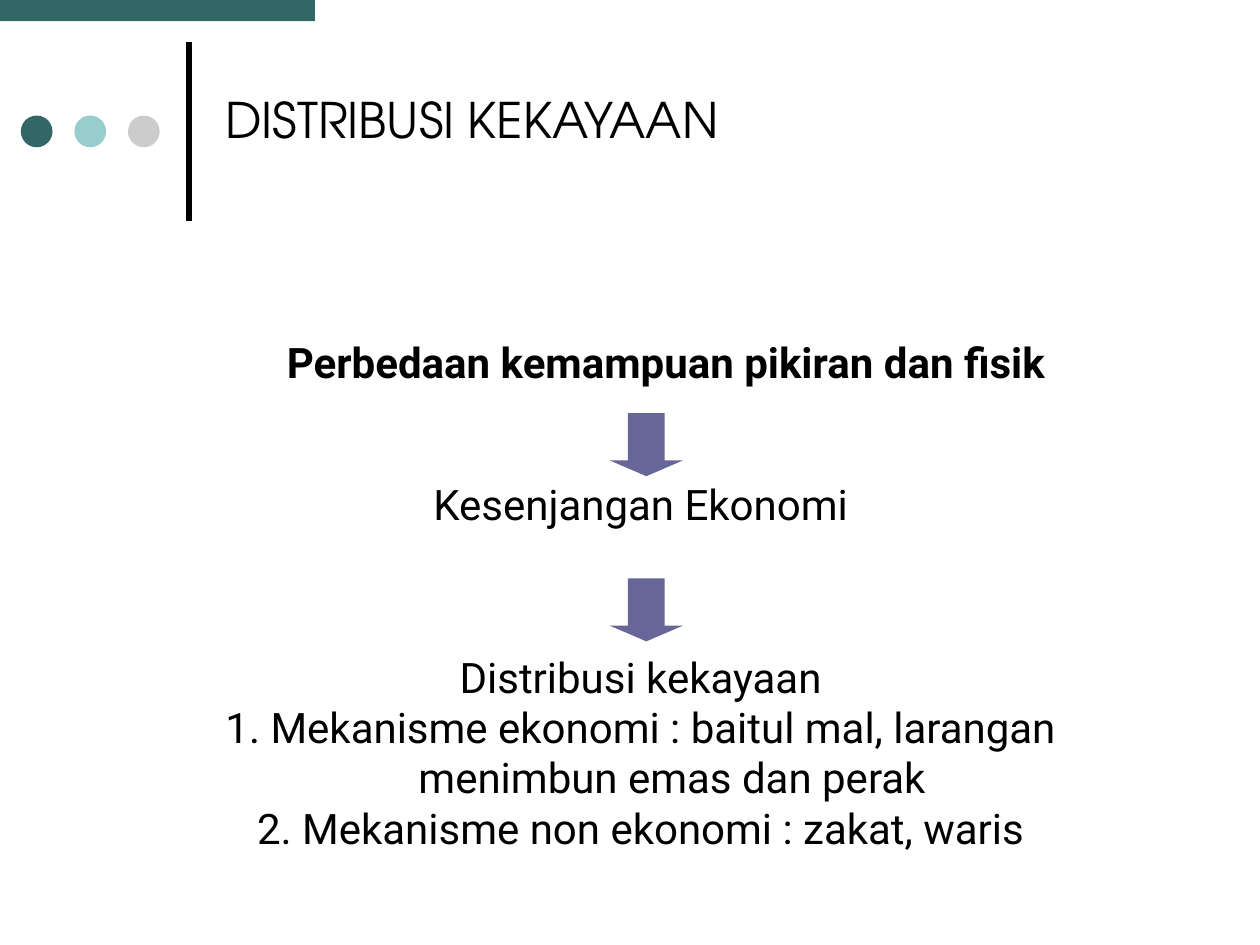
from lxml import etree
from pptx import Presentation
from pptx.dml.color import RGBColor
from pptx.enum.shapes import MSO_CONNECTOR, MSO_SHAPE
from pptx.enum.text import MSO_ANCHOR, MSO_AUTO_SIZE, PP_ALIGN
from pptx.oxml.ns import qn
from pptx.util import Cm, Pt

STRAIGHT = MSO_CONNECTOR.STRAIGHT
DOT, BAR, DOWN_ARROW = MSO_SHAPE.OVAL, MSO_SHAPE.RECTANGLE, MSO_SHAPE.DOWN_ARROW
TOP, NO_FIT = MSO_ANCHOR.TOP, MSO_AUTO_SIZE.NONE
LEFT, CENTER = PP_ALIGN.LEFT, PP_ALIGN.CENTER

COLORS = {
    "text": "000000",
    "teal": "336666",
    "aqua": "99CCCC",
    "grey": "CCCCCC",
    "violet": "666699",
}
TITLE_FORMAT = {"name": "TeX Gyre Adventor", "size": Pt(28), "bold": False}
BODY_FORMAT = {"name": "Roboto", "size": Pt(24), "bold": False}
CAUSE_FORMAT = {**BODY_FORMAT, "bold": True}

# Boxes are left, top, width, height in cm.
TITLE = "DISTRIBUSI KEKAYAAN"
TITLE_BOX = (4.29, 1.68, 12.7, 1.45)
STEPS = [
    (["Perbedaan kemampuan pikiran dan fisik"],
     (4.75, 6.65, 17.35, 2.29), CAUSE_FORMAT, 0),
    (["Kesenjangan Ekonomi"],
     (4.24, 9.53, 17.35, 1.27), BODY_FORMAT, 0),
    (["Distribusi kekayaan",
      "1. Mekanisme ekonomi : baitul mal, larangan menimbun emas dan perak",
      "2. Mekanisme non ekonomi : zakat, waris"],
     (4.24, 13, 17.35, 4.32), BODY_FORMAT, 1.27),
]
ARROW_TOPS = [8.33, 11.66]
DOT_COLORS = ["teal", "aqua", "grey"]
DOT_LEFT, DOT_TOP, DOT_SIZE, DOT_PITCH = 0.42, 2.33, 0.64, 1.08
RULE_X, RULE_TOP, RULE_BOTTOM = 3.81, 0.85, 4.45


def color(key):
    return RGBColor.from_string(COLORS[key])


def add_plain_shape(slide, kind, box, fill):
    shape = slide.shapes.add_shape(kind, *map(Cm, box))
    shape.shadow.inherit = False
    shape.fill.solid()
    shape.fill.fore_color.rgb = color(fill)
    shape.line.fill.background()
    return shape


def write(holder, lines, font_format, align, hanging=0):
    """Fill a text holder, one paragraph a line, with a hanging indent in cm."""
    frame = holder.text_frame
    frame.word_wrap = True
    frame.auto_size = NO_FIT
    frame.vertical_anchor = TOP
    frame.text = "\n".join(lines)
    for paragraph in frame.paragraphs:
        paragraph.alignment = align
        if hanging:
            properties = paragraph._p.get_or_add_pPr()
            properties.set("marL", str(Cm(hanging)))
            properties.set("indent", str(-Cm(hanging)))
        for attribute, value in font_format.items():
            setattr(paragraph.font, attribute, value)
        paragraph.font.color.rgb = color("text")


def add_decoration(slide):
    rule = slide.shapes.add_connector(
        STRAIGHT, Cm(RULE_X), Cm(RULE_BOTTOM), Cm(RULE_X), Cm(RULE_TOP))
    rule.line.color.rgb = color("text")
    rule.line.width = Pt(3)
    etree.SubElement(rule._element.spPr, qn("a:effectLst"))
    for index, fill in enumerate(DOT_COLORS):
        left = DOT_LEFT + index * DOT_PITCH
        add_plain_shape(slide, DOT, (left, DOT_TOP, DOT_SIZE, DOT_SIZE), fill)
    add_plain_shape(slide, BAR, (0, 0, 6.35, 0.43), "teal")


def main():
    presentation = Presentation()
    presentation.slide_width, presentation.slide_height = Cm(25.4), Cm(19.05)
    slide = presentation.slides.add_slide(presentation.slide_layouts[5])

    add_decoration(slide)
    title = slide.shapes.title
    title.left, title.top, title.width, title.height = map(Cm, TITLE_BOX)
    write(title, [TITLE], TITLE_FORMAT, LEFT)

    for lines, box, font_format, hanging in STEPS:
        step = slide.shapes.add_textbox(*map(Cm, box))
        write(step, lines, font_format, CENTER, hanging)
    for top in ARROW_TOPS:
        arrow = add_plain_shape(
            slide, DOWN_ARROW, (12.29, top, 1.48, 1.27), "violet")
        arrow.adjustments[0], arrow.adjustments[1] = 0.5, 0.25

    presentation.save("out.pptx")


if __name__ == "__main__":
    main()
